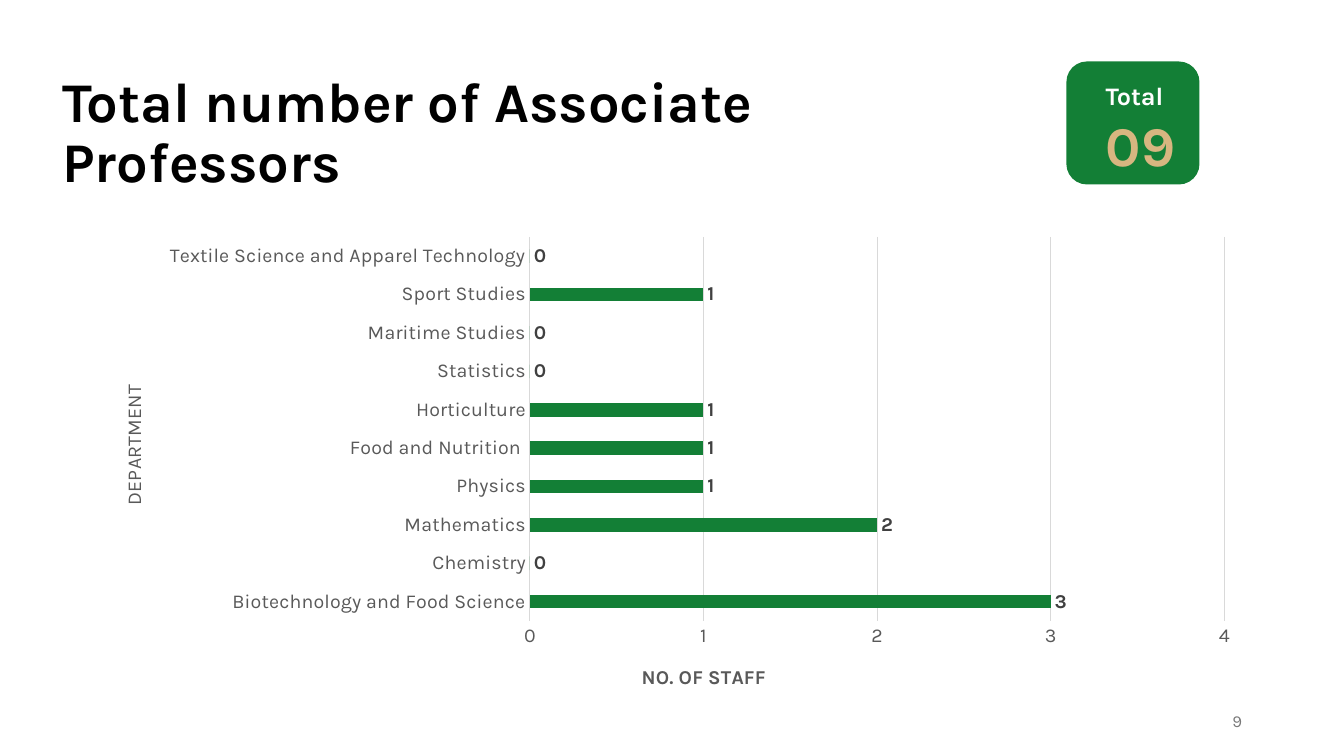
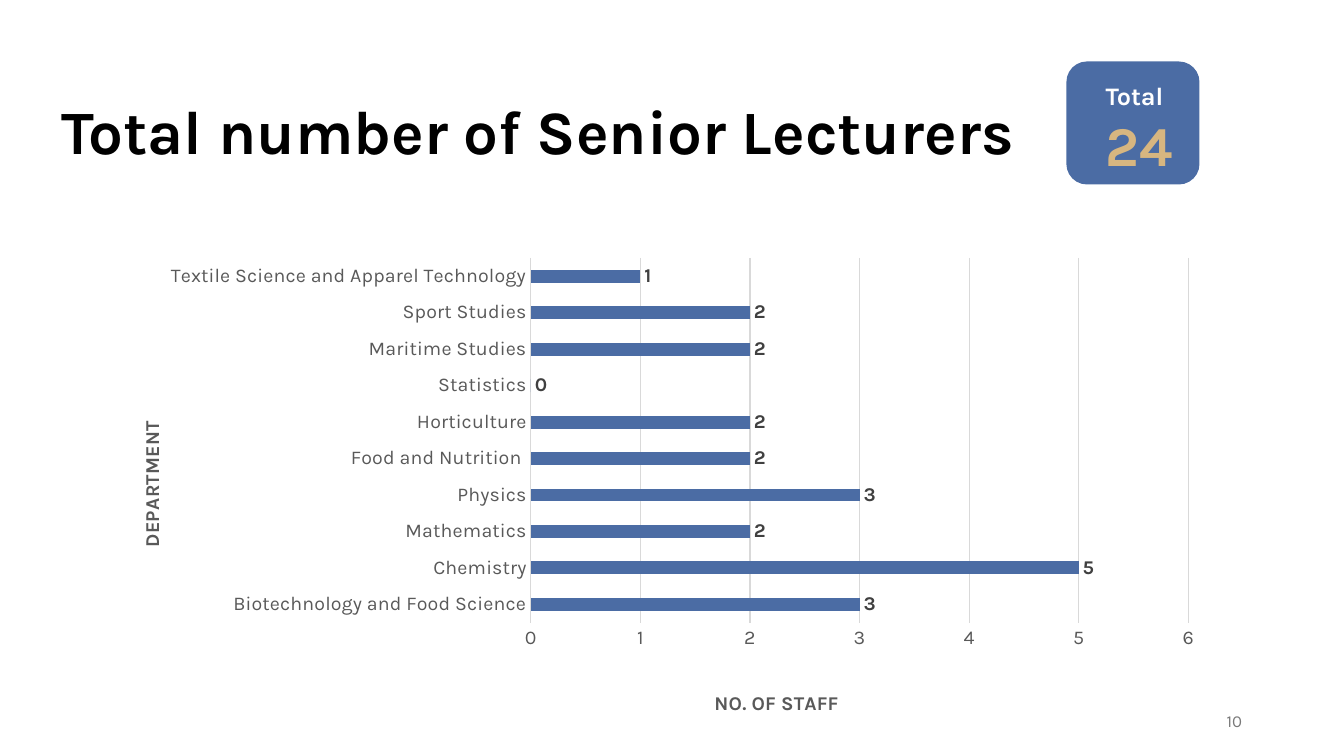
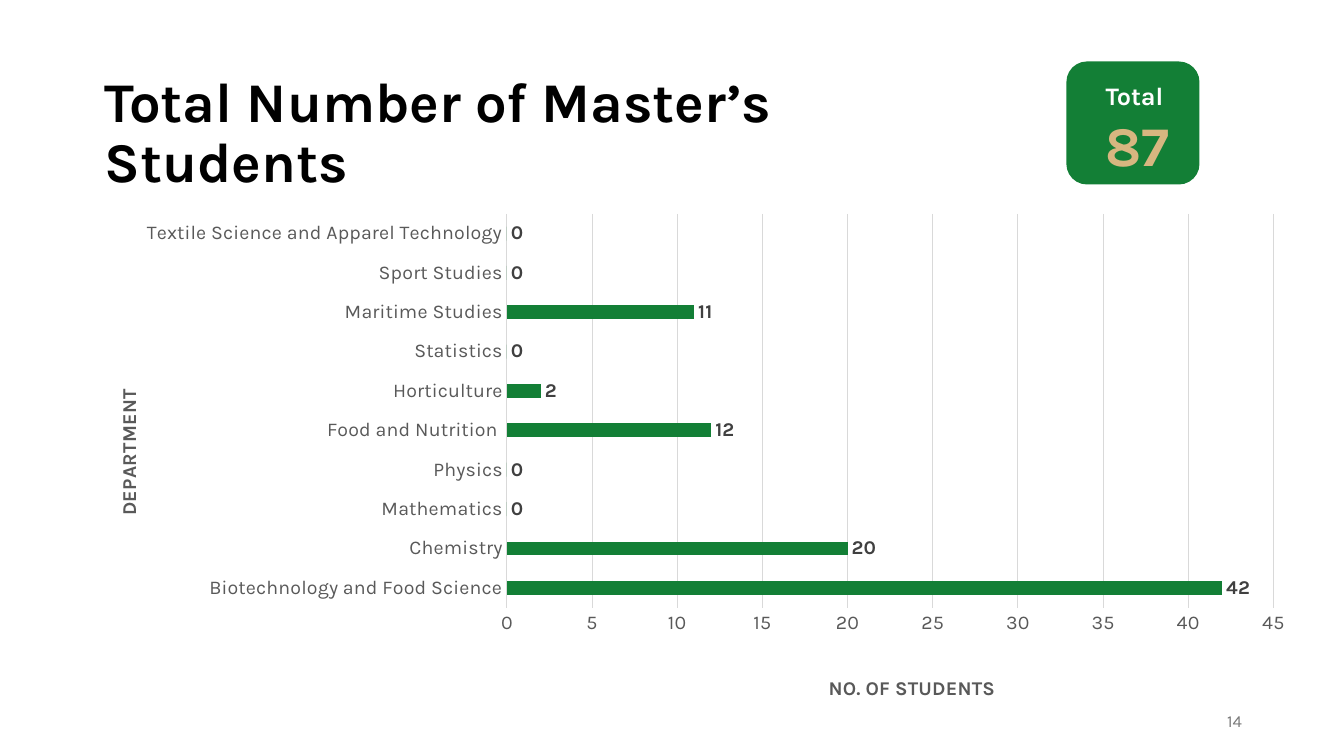
from lxml.etree import SubElement
from pptx import Presentation
from pptx.chart.data import CategoryChartData
from pptx.dml.color import RGBColor
from pptx.enum.chart import XL_CHART_TYPE, XL_LABEL_POSITION, XL_TICK_MARK
from pptx.enum.shapes import MSO_SHAPE
from pptx.enum.text import MSO_ANCHOR, PP_ALIGN
from pptx.oxml.ns import qn
from pptx.util import Inches, Pt

# Shared look
FONT = "Karla"
GREEN = RGBColor(0x13, 0x7F, 0x36)
BLUE = RGBColor(0x4B, 0x6C, 0xA4)
GOLD = RGBColor(0xD7, 0xB6, 0x80)
WHITE = RGBColor(0xFF, 0xFF, 0xFF)
BLACK = RGBColor(0x00, 0x00, 0x00)
DARK = RGBColor(0x40, 0x40, 0x40)
GREY = RGBColor(0x59, 0x59, 0x59)
PALE = RGBColor(0x79, 0x79, 0x79)
RULE = RGBColor(0xD9, 0xD9, 0xD9)

# Boxes are left, top, width, height in percent of the slide
WIDTH, HEIGHT = Inches(13.33), Inches(7.5)
HEAD_TOP, HEAD_HIGH = 8.13, 19.33
BADGE = (79.35, HEAD_TOP, 9.9, 16.27)
TOTAL = (81.53, 10, 9, 14.4)
FOOT = (70.65, 92.67, 22.5, 5.33)

UNITS = ["Biotechnology and Food Science", "Chemistry", "Mathematics", "Physics",
         "Food and Nutrition ", "Horticulture", "Statistics", "Maritime Studies",
         "Sport Studies", "Textile Science and Apparel Technology"]

# head: left, width; side and base: left, top of the axis titles
PAGES = [
    dict(title="Total number of Associate Professors", size=40, head=(3.9, 71.03),
         total="09", page="9", color=GREEN, what="NO. OF STAFF",
         vals=[3, 0, 2, 1, 1, 1, 0, 0, 1, 0], top=4, step=1, heavy=False,
         area=(7.05, 30.13, 86.25, 63.47), plot=(39.43, 31.35, 51.67, 50.79),
         side=(8.74, 50.4), base=(47.47, 87.43)),
    dict(title="Total number of Senior Lecturers", size=44, head=(3.83, 73.35),
         total="24", page="10", color=BLUE, what="NO. OF STAFF",
         vals=[3, 5, 2, 3, 2, 2, 0, 2, 2, 1], top=6, step=1, heavy=True,
         area=(7.13, 32.93, 83.4, 62.53), plot=(39.5, 34.13, 48.92, 48.68),
         side=(10.08, 55.5), base=(52.9, 91.4)),
    dict(title="Total Number of Master’s Students", size=40, head=(7.05, 64.58),
         total="87", page="14", color=GREEN, what="NO. OF STUDENTS",
         vals=[42, 20, 0, 0, 12, 2, 0, 11, 0, 0], top=45, step=5, heavy=True,
         area=(5.18, 26.93, 92.25, 66.53), plot=(37.72, 28.31, 57.03, 52.51),
         side=(8.37, 51.3), base=(61.38, 89.4)),
]


def scale(box):
    """Turn percents of the slide into lengths."""
    return [int(part * full / 100) for part, full in zip(box, (WIDTH, HEIGHT) * 2)]


def style(font, size, color, bold=False):
    font.name, font.size, font.bold = FONT, Pt(size), bold
    font.color.rgb = color


def write(slide, box, lines, bold=False, align=PP_ALIGN.LEFT,
          anchor=MSO_ANCHOR.TOP, space=1.0):
    """Add a text box; each line is text, size, colour."""
    frame = slide.shapes.add_textbox(*scale(box)).text_frame
    frame.word_wrap = True
    frame.vertical_anchor = anchor
    for i, (text, size, color) in enumerate(lines):
        para = frame.paragraphs[0] if i == 0 else frame.add_paragraph()
        para.alignment, para.line_spacing = align, space
        run = para.add_run()
        run.text = text
        style(run.font, size, color, bold)


def place(node, index, spot, area):
    """Fix a chart part at a spot given in percent of the slide."""
    for old in node.findall(qn("c:layout")):
        node.remove(old)
    layout = SubElement(node, qn("c:layout"))
    node.insert(index, layout)
    manual = SubElement(layout, qn("c:manualLayout"))
    x, y, wide, high = area
    parts = [("x", (spot[0] - x) / wide), ("y", (spot[1] - y) / high)]
    modes = [("xMode", "edge"), ("yMode", "edge")]
    if len(spot) == 4:
        modes.insert(0, ("layoutTarget", "inner"))
        parts += [("w", spot[2] / wide), ("h", spot[3] / high)]
    for tag, val in modes + parts:
        SubElement(manual, qn("c:" + tag)).set("val", str(val))


def label(axis, text, spot, area, bold, turn):
    """Style an axis and give it a title."""
    axis.major_tick_mark = axis.minor_tick_mark = XL_TICK_MARK.NONE
    style(axis.tick_labels.font, 14, GREY)
    title = axis.axis_title
    frame = title.text_frame
    frame.text = text
    style(frame.paragraphs[0].runs[0].font, 14, GREY, bold)
    node = title._element
    node.find(".//" + qn("a:bodyPr")).set("rot", str(turn * 60000))
    place(node, 1, spot, area)


def thin(line):
    line.color.rgb, line.width = RULE, Pt(0.75)


def bars(slide, page):
    data = CategoryChartData(number_format="General")
    data.categories = UNITS
    data.add_series("Series 1", page["vals"])
    area = page["area"]
    chart = slide.shapes.add_chart(XL_CHART_TYPE.BAR_CLUSTERED, *scale(area), data).chart
    chart.has_legend = chart.has_title = False
    style(chart.font, 14, BLACK)
    place(chart._chartSpace.find(".//" + qn("c:plotArea")), 0, page["plot"], area)

    # Axes
    cat, val = chart.category_axis, chart.value_axis
    label(cat, "DEPARTMENT", page["side"], area, page["heavy"], -90)
    label(val, page["what"], page["base"], area, True, 0)
    cat.has_major_gridlines = False
    thin(cat.format.line)
    val.minimum_scale, val.maximum_scale, val.major_unit = 0, page["top"], page["step"]
    val.format.line.fill.background()
    thin(val.major_gridlines.format.line)

    # Bars and their values
    plot = chart.plots[0]
    plot.gap_width, plot.vary_by_categories = 182, False
    row = plot.series[0]
    row.format.fill.solid()
    row.format.fill.fore_color.rgb = page["color"]
    tags = row.data_labels
    tags.show_value, tags.position = True, XL_LABEL_POSITION.OUTSIDE_END
    style(tags.font, 14, DARK, True)


def badge(slide, total, color):
    shape = slide.shapes.add_shape(MSO_SHAPE.ROUNDED_RECTANGLE, *scale(BADGE))
    shape.shadow.inherit = False
    shape.fill.solid()
    shape.fill.fore_color.rgb = color
    shape.line.fill.background()
    write(slide, TOTAL, [("Total", 18, WHITE), (total, 40, GOLD)], bold=True)


def main():
    deck = Presentation()
    deck.slide_width, deck.slide_height = WIDTH, HEIGHT
    for page in PAGES:
        slide = deck.slides.add_slide(deck.slide_layouts[6])
        bars(slide, page)
        badge(slide, page["total"], page["color"])
        left, wide = page["head"]
        write(slide, (left, HEAD_TOP, wide, HEAD_HIGH),
              [(page["title"], page["size"], BLACK)],
              bold=True, anchor=MSO_ANCHOR.MIDDLE, space=0.9)
        write(slide, FOOT, [(page["page"], 12, PALE)],
              align=PP_ALIGN.RIGHT, anchor=MSO_ANCHOR.MIDDLE)
    deck.save("out.pptx")


if __name__ == "__main__":
    main()
